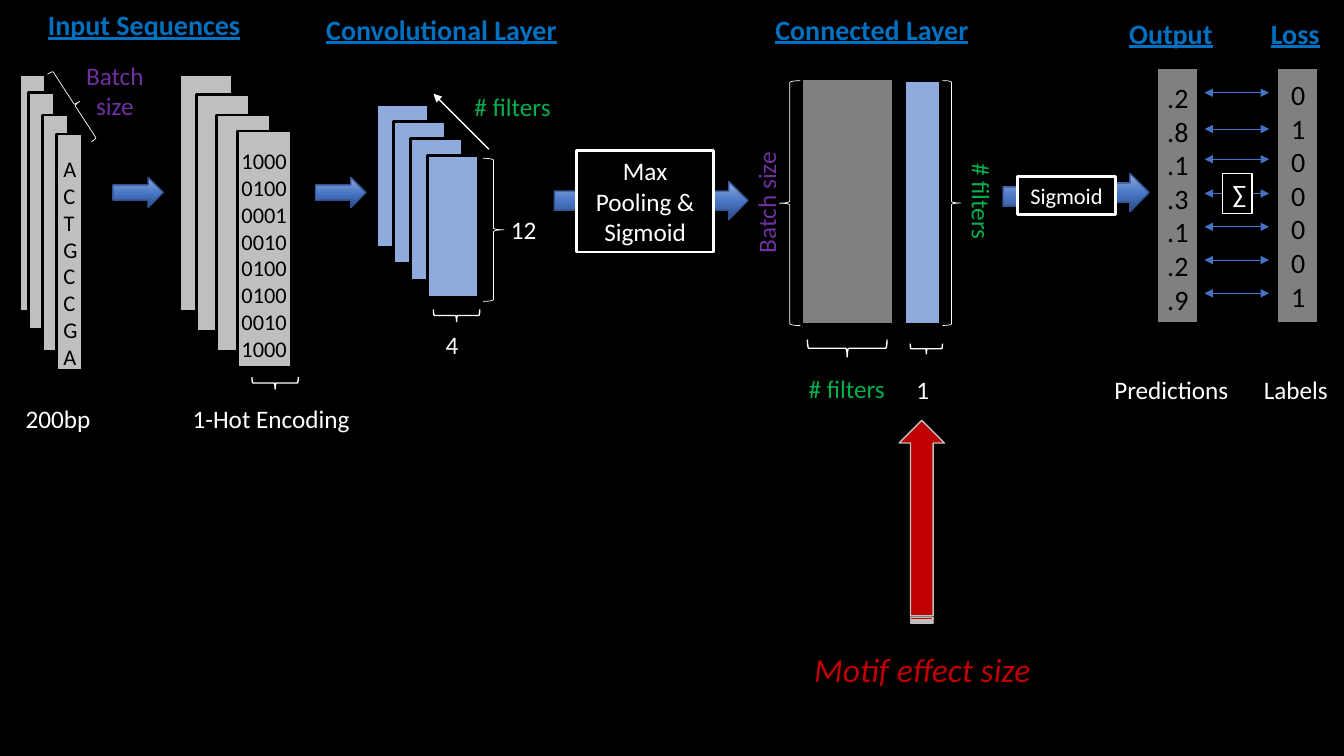
"""Build a slide of a sequence network, laid out on a grid of tenth-inch cells."""
import copy
import dataclasses

import pptx
import pptx.dml.color
import pptx.enum.shapes
import pptx.enum.text
import pptx.oxml.ns
import pptx.util

Shape = pptx.enum.shapes.MSO_SHAPE
qn = pptx.oxml.ns.qn


@dataclasses.dataclass(frozen=True)
class Theme:
    """Colours and type sizes of the slide."""
    font: str = "Calibri"
    black: str = "000000"
    white: str = "FFFFFF"
    heading: str = "0070C0"
    batch: str = "7030A0"
    filters: str = "00B050"
    motif: str = "C00000"
    sequence: str = "BFBFBF"
    kernel: str = "8FAADC"
    matrix: str = "808080"
    link: str = "4472C4"
    flow_edge: str = "325491"
    flow: tuple = ((0, "2A4B86"), (0.48, "4A76C6"), (1, "8FAADC"))
    heading_size: int = 20
    label_size: int = 18
    code_size: int = 16
    motif_size: int = 24


THEME = Theme()


def cells(*counts):
    """Turn counts of grid cells into lengths."""
    return [pptx.util.Inches(count / 10) for count in counts]


def rgb(color):
    """Turn a hex string into a colour."""
    return pptx.dml.color.RGBColor.from_string(color)


def write(shape, lines, size, color, bold=False, italic=False):
    """Fill a shape with centred lines that share one font."""
    frame = shape.text_frame
    frame.word_wrap = True
    frame.auto_size = pptx.enum.text.MSO_AUTO_SIZE.SHAPE_TO_FIT_TEXT
    for index, line in enumerate(lines):
        para = frame.paragraphs[0] if index == 0 else frame.add_paragraph()
        para.text = line
        para.alignment = pptx.enum.text.PP_ALIGN.CENTER
        font = para.font
        font.name, font.size, font.color.rgb = THEME.font, pptx.util.Pt(size), rgb(color)
        if bold:
            font.bold = font.underline = True
        if italic:
            font.italic = True


def add_text(page, place, lines, size=THEME.label_size, color=THEME.white, turn=0, **style):
    """Add a text box."""
    box = page.shapes.add_textbox(*cells(*place))
    box.rotation = turn
    write(box, lines, size, color, **style)


def add_heading(page, place, title):
    """Add an underlined stage heading."""
    add_text(page, place, [title], THEME.heading_size, THEME.heading, bold=True)


def add_block(page, kind, place, fill, edge, width, turn=0):
    """Add an outlined preset shape, hollow when fill is None."""
    shape = page.shapes.add_shape(kind, *cells(*place))
    shape.shadow.inherit = False
    shape.rotation = turn
    if fill:
        shape.fill.solid()
        shape.fill.fore_color.rgb = rgb(fill)
    else:
        shape.fill.background()
    shape.line.color.rgb = rgb(edge)
    shape.line.width = pptx.util.Pt(width)
    return shape


def add_stack(page, corners, size, fill):
    """Add overlapping cards, back to front."""
    for corner in corners:
        add_block(page, Shape.RECTANGLE, (*corner, *size), fill, THEME.black, 2)


def add_framed(page, place, text, size=THEME.label_size, width=2):
    """Add a black box with a white frame and a label."""
    box = add_block(page, Shape.RECTANGLE, place, THEME.black, THEME.white, width)
    write(box, [text], size, THEME.white)


def add_flow(page, place):
    """Add a shaded arrow between two stages."""
    arrow = add_block(page, Shape.RIGHT_ARROW, place, None, THEME.flow_edge, 1)
    arrow.fill.gradient()
    arrow.fill.gradient_angle = 90
    stops = arrow._element.spPr.find(".//" + qn("a:gsLst"))
    stops.append(copy.deepcopy(stops[-1]))
    for stop, (position, color) in zip(arrow.fill.gradient_stops, THEME.flow):
        stop.position = position
        stop.color.rgb = rgb(color)


def add_arrow(page, ends, color, width, tips):
    """Add a straight line with the named arrowheads."""
    line = page.shapes.add_connector(pptx.enum.shapes.MSO_CONNECTOR.STRAIGHT, *cells(*ends))
    line.line.color.rgb = rgb(color)
    line.line.width = pptx.util.Pt(width)
    properties = line._element.spPr
    for tip in tips:
        end = properties.find(qn("a:ln")).makeelement(qn(tip), {"type": "triangle"})
        properties.find(qn("a:ln")).append(end)
    properties.append(properties.makeelement(qn("a:effectLst"), {}))


def add_input(page):
    """Add the sequences and their encoding."""
    add_heading(page, (1, 0.3, 26.6, 4.4), "Input Sequences")
    add_stack(page, [(1.9, 7.4), (2.8, 9.2), (4.2, 11.4), (5.6, 13.3)], (2.6, 23.5), THEME.sequence)
    add_stack(page, [(17.8, 7.4), (19.5, 9.4), (21.5, 11.4), (23.6, 13)], (5.3, 23.5), THEME.sequence)
    bases = "ACTGCCGA"
    codes = {"A": "1000", "C": "0100", "T": "0001", "G": "0010"}
    add_text(page, (5.3, 14.9, 3.1, 22.6), bases, THEME.code_size, THEME.black)
    add_text(page, (22.7, 14.1, 7, 22.6), [codes[base] for base in bases], THEME.code_size, THEME.black)
    add_text(page, (0.4, 39.5, 10.7, 4), ["200bp"])
    add_text(page, (15.6, 39.5, 22.6, 4), ["1-Hot Encoding"])
    add_text(page, (0.1, 5.5, 22.6, 7.1), ["Batch\vsize"], color=THEME.batch)
    for column in (11.2, 31.3):
        add_flow(page, (column, 17.6, 5, 3))


def add_convolution(page):
    """Add the filter stack and the pooling step."""
    add_heading(page, (30.3, 0.7, 27, 4.4), "Convolutional Layer")
    corners = [(37.4 + 1.67 * step, 10.4 + 1.67 * step) for step in range(4)]
    add_stack(page, corners, (5.1, 14.1), THEME.kernel)
    add_arrow(page, (48.5, 14.8, 43, 9.3), THEME.white, 1, ["a:tailEnd"])
    add_text(page, (42.2, 8.6, 17.3, 4), ["# filters"], color=THEME.filters)
    add_text(page, (49.3, 20.8, 5.3, 4), ["12"])
    add_text(page, (42.2, 32.2, 5.3, 4), ["4"])
    add_flow(page, (55, 18, 6.8, 3.8))
    add_flow(page, (66.5, 18, 7.7, 3.8))
    add_framed(page, (57.2, 14.9, 13.6, 10.1), "Max Pooling & Sigmoid")


def add_connected(page):
    """Add the connected layer, its weights and the motif callout."""
    add_heading(page, (70.3, 0.7, 32.4, 4.4), "Connected Layer")
    add_block(page, Shape.RECTANGLE, (79.6, 7.9, 9, 24.2), THEME.matrix, THEME.black, 1)
    add_stack(page, [(89.7, 8)], (3.6, 24.2), THEME.kernel)
    add_text(page, (72.7, 36.5, 22.6, 4), ["# filters"], color=THEME.filters)
    add_text(page, (64.7, 18.1, 22.6, 4), ["Batch size"], color=THEME.batch, turn=270)
    add_text(page, (86.1, 18, 22.6, 4), ["# filters"], color=THEME.filters, turn=90)
    add_text(page, (88.9, 36.6, 5.3, 4), ["1"])
    add_block(page, Shape.STRIPED_RIGHT_ARROW, (81.4, 49.5, 20.1, 4.5), THEME.motif, THEME.sequence, 1, 270)
    add_text(page, (76.5, 63.9, 30, 5), ["Motif effect size"], THEME.motif_size, THEME.motif, italic=True)
    add_flow(page, (106.3, 17.2, 7.7, 3.8))
    add_flow(page, (99.5, 17.6, 6.8, 3.8))
    add_framed(page, (100.9, 17.5, 9.8, 3.8), "Sigmoid", THEME.code_size)


def add_output(page):
    """Add predictions, labels and the loss links between them."""
    add_heading(page, (101.7, 1.1, 28.9, 4.4), "Output")
    add_heading(page, (121.2, 1.1, 14.6, 4.4), "Loss")
    for column in (114.8, 126.7):
        add_block(page, Shape.RECTANGLE, (column, 6.8, 4, 25.2), THEME.matrix, THEME.black, 1)
    predictions = [f".{digit}" for digit in "2813129"]
    add_text(page, (114.4, 7.5, 4.9, 24.6), predictions, THEME.heading_size, THEME.black)
    add_text(page, (126.8, 7.2, 4, 24.6), "0100001", THEME.heading_size, THEME.black)
    for row in (9.2, 12.8, 15.8, 19.2, 22.5, 25.8, 29.1):
        add_arrow(page, (119.5, row, 125.9, row), THEME.link, 0.5, ["a:headEnd", "a:tailEnd"])
    add_framed(page, (121.3, 17.2, 2.9, 4), "∑", width=1)
    add_text(page, (109.2, 36.6, 14, 4), ["Predictions"])
    add_text(page, (123.2, 36.6, 10.7, 4), ["Labels"])


def add_braces(page):
    """Add the braces that measure widths and heights."""
    for place in ((26.7, 35.7, 1.2, 4.6), (44.7, 29, 1.2, 4.6), (83.2, 30.6, 1.7, 7.9), (91.4, 33, 1, 3.2)):
        add_block(page, Shape.LEFT_BRACE, place, None, THEME.white, 1, 270)
    for place, turn in (((47.9, 15.7, 2.1, 14.2), 0), ((77.3, 8, 2.1, 24.3), 180),
                        ((6.8, 6.4, 1.2, 8), 327), ((93.5, 8, 1.8, 24.3), 0)):
        add_block(page, Shape.RIGHT_BRACE, place, None, THEME.white, 0.5, turn)


def main():
    """Build and save the deck."""
    deck = pptx.Presentation()
    deck.slide_width, deck.slide_height = cells(133.33, 75)
    page = deck.slides.add_slide(deck.slide_layouts[6])
    page.background.fill.solid()
    page.background.fill.fore_color.rgb = rgb(THEME.black)
    for add_part in (add_input, add_convolution, add_connected, add_output, add_braces):
        add_part(page)
    deck.save("out.pptx")


if __name__ == "__main__":
    main()
